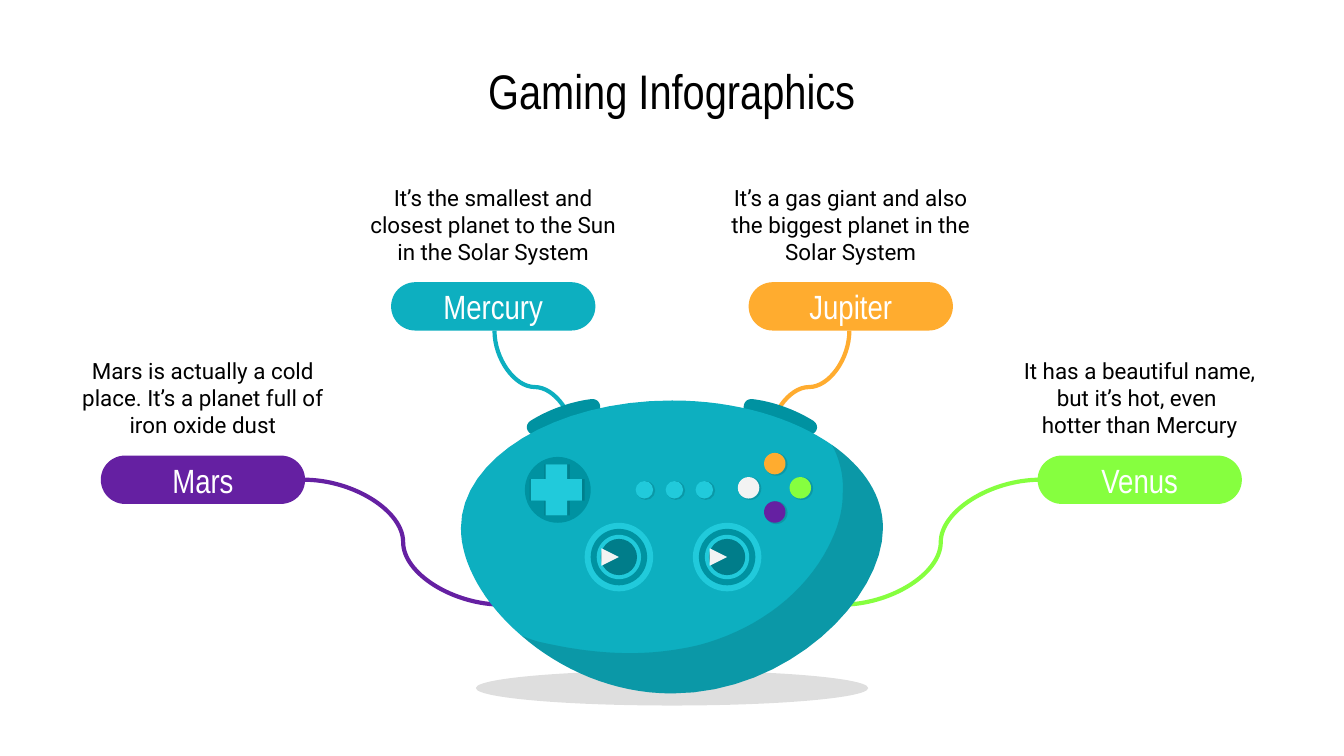
from lxml import etree
from pptx import Presentation
from pptx import util as u
from pptx.dml.color import RGBColor
from pptx.enum import shapes, text
from pptx.oxml.ns import qn

BLACK = RGBColor(0x00, 0x00, 0x00)
WHITE = RGBColor(0xFF, 0xFF, 0xFF)
PALE = RGBColor(0xF3, 0xF3, 0xF3)
TEAL = RGBColor(0x0D, 0xAF, 0xC0)
DARK_TEAL = RGBColor(0x00, 0x92, 0xA1)
DEEP_TEAL = RGBColor(0x00, 0x7D, 0x8A)
CYAN = RGBColor(0x21, 0xCA, 0xDB)
PURPLE = RGBColor(0x65, 0x20, 0xA2)
GREEN = RGBColor(0x86, 0xFF, 0x3F)
ORANGE = RGBColor(0xFF, 0xAC, 0x2F)
SHADE = 13
STEPS = 16
KIND = shapes.MSO_SHAPE

prs = Presentation()
prs.slide_width = u.Inches(10)
prs.slide_height = prs.slide_width * 9 // 16
CELL = prs.slide_width // 100
slide = prs.slides.add_slide(prs.slide_layouts[5])


def paint(shape, color, opacity=100):
    shape.shadow.inherit = False
    shape.fill.solid()
    shape.fill.fore_color.rgb = color
    shape.line.fill.background()
    if opacity < 100:
        tint = shape._element.spPr.find(".//" + qn("a:srgbClr"))
        etree.SubElement(tint, qn("a:alpha"), val=str(opacity * 1000))


def add_centred(kind, x, y, width, height, color, opacity=100):
    box = [round(n * CELL) for n in (x - width / 2, y - height / 2, width, height)]
    shape = slide.shapes.add_shape(kind, *box)
    paint(shape, color, opacity)
    return shape


title = slide.shapes.title
title.left, title.top, title.width, title.height = (round(n * CELL) for n in (5, 4.5, 90, 4.4))
captions = [(title, ["Gaming Infographics"], 26, "Arial Narrow", BLACK, 0)]

planets = [
    ("Mars", ["Mars is actually a cold place. It’s a planet full of iron oxide dust"],
     PURPLE, 15.1, 25.3, (37.4, 45), (22.6, 35.7), 0),
    ("Venus", ["It has a beautiful name, but it’s hot, even ", "hotter than Mercury"],
     GREEN, 84.8, 25.3, (62.6, 45), (77.4, 35.7), 0),
    ("Mercury", ["It’s the smallest and closest planet to the Sun in the Solar System"],
     TEAL, 36.7, 12.4, (42.8, 33), (36.8, 24.6), 1),
    ("Jupiter", ["It’s a gas giant and also the biggest planet in the Solar System"],
     ORANGE, 63.3, 12.4, (57.2, 33), (63.2, 24.6), -1),
]
for name, fact, color, centre, top, (pad_x, pad_y), (pill_x, pill_y), turn in planets:
    mid_x, mid_y = (pad_x + pill_x) / 2, (pad_y + pill_y) / 2
    half_x, half_y = pad_x - mid_x, pad_y - mid_y
    if turn:
        half_x, half_y = turn * half_y, -turn * half_x
    ends = (mid_x + half_x, mid_y + half_y, mid_x - half_x, mid_y - half_y)
    wire = slide.shapes.add_connector(shapes.MSO_CONNECTOR.CURVE, *(round(n * CELL) for n in ends))
    wire.line.color.rgb = color
    wire.line.width = u.Pt(2.25)
    etree.SubElement(wire._element.spPr, qn("a:effectLst"))
    if turn:
        wire._element.spPr.find(qn("a:xfrm")).set("rot", str(turn * 90 % 360 * 60000))

    box = (centre - 10.15, top, 20.3, 8.6)
    description = slide.shapes.add_textbox(*(round(n * CELL) for n in box))
    pill = add_centred(KIND.ROUNDED_RECTANGLE, centre, top + 10.4, 15.2, 3.6, color)
    pill.adjustments[0] = 0.5
    captions += [(description, fact, 12, "Roboto", BLACK, 0),
                 (pill, [name], 18, "Arial Narrow", WHITE, 2)]

for holder, lines, size, font, color, space in captions:
    frame = holder.text_frame
    frame.word_wrap = True
    frame.auto_size = text.MSO_AUTO_SIZE.NONE
    frame.vertical_anchor = text.MSO_ANCHOR.MIDDLE
    frame.margin_left = frame.margin_right = frame.margin_top = frame.margin_bottom = CELL
    paragraph = frame.paragraphs[0]
    paragraph.alignment = text.PP_ALIGN.CENTER
    paragraph.space_after = u.Pt(space)
    for i, line in enumerate(lines):
        if i:
            paragraph.add_line_break()
        run = paragraph.add_run()
        run.text = line
        run.font.size = u.Pt(size)
        run.font.name = font
        run.font.color.rgb = color

add_centred(KIND.OVAL, 50, 51.2, 29.2, 2.6, BLACK, SHADE)

bumper = [(44.1, 29.7), (44, 29.7), (44, 29.7), (44, 29.7),
          (42.4, 29.9), (40.8, 30.5), (39.5, 31.3), (38.9, 31.7), (39.3, 32.4), (39.9, 32.4),
          (40, 32.4), (40.1, 32.4), (40.2, 32.3), (41.4, 31.6), (42.7, 31.1), (44.1, 30.9),
          (44.9, 30.8), (44.8, 29.7), (44.1, 29.7)]
body = [(50, 29.8), (41.3, 29.8), (34.3, 34.1), (34.3, 39.3),
        (34.3, 41.9), (36, 44.9), (38.8, 47.3), (41.7, 49.8), (45.6, 51.6), (50, 51.6),
        (58.7, 51.6), (65.7, 44.5), (65.7, 39.3), (65.7, 36.9), (64.3, 34.8), (61.9, 33.1),
        (59, 31.1), (54.8, 29.8), (50, 29.8)]
body_shade = [(61.9, 33.1), (62.5, 34.2), (62.8, 35.5), (62.7, 36.8),
              (62.7, 38.4), (62.1, 39.9), (61.3, 41.3), (59.3, 44.7), (55.8, 47), (52, 48),
              (50.3, 48.4), (48.6, 48.6), (46.9, 48.6), (44.7, 48.6), (42.5, 48.3), (40.3, 47.8),
              (39.8, 47.7), (39.3, 47.5), (38.8, 47.3)] + body[7:16]
mirrored_bumper = [(100 - x, y) for x, y in bumper]

for knots, color, opacity in [(bumper, DARK_TEAL, 100), (mirrored_bumper, DARK_TEAL, 100),
                              (body, TEAL, 100), (body_shade, BLACK, SHADE)]:
    outline = []
    for i in range(0, len(knots) - 1, 3):
        for step in range(1, STEPS + 1):
            t = step / STEPS
            weights = ((1 - t) ** 3, 3 * t * (1 - t) ** 2, 3 * t * t * (1 - t), t ** 3)
            outline.append(tuple(
                round(CELL * sum(w * knot[axis] for w, knot in zip(weights, knots[i:i + 4])))
                for axis in (0, 1)))
    builder = slide.shapes.build_freeform(*outline[-1])
    builder.add_line_segments(outline, close=True)
    paint(builder.convert_to_shape(), color, opacity)

for stick_x in (46.05, 54.1):
    for ring, color in [(5.1, CYAN), (4.2, DARK_TEAL), (3.3, CYAN), (2.7, DEEP_TEAL)]:
        add_centred(KIND.OVAL, stick_x, 41.45, ring, ring, color)
    glint = add_centred(KIND.ISOSCELES_TRIANGLE, stick_x - 0.65, 41.45, 1.3, 1.3, PALE)
    glint.rotation = 90

add_centred(KIND.OVAL, 41.5, 36.45, 4.9, 4.9, DARK_TEAL)
for x, width, color, opacity in [(41.45, 4.1, BLACK, SHADE), (41.4, 3.8, CYAN, 100)]:
    cross = add_centred(KIND.CROSS, x, 36.45, width, 3.8, color, opacity)
    cross.adjustments[0] = 0.29

buttons = [(55.7, 36.3, 1.6, PALE), (59.55, 36.3, 1.6, GREEN),
           (57.65, 34.5, 1.6, ORANGE), (57.65, 38.1, 1.6, PURPLE)]
buttons += [(47.95 + 2.23 * i, 36.45, 1.3, CYAN) for i in range(3)]
for x, y, size, color in buttons:
    add_centred(KIND.OVAL, x + 0.1, y + 0.05, size + 0.1, size + 0.1, BLACK, SHADE)
    add_centred(KIND.OVAL, x, y, size, size, color)

prs.save("out.pptx")
